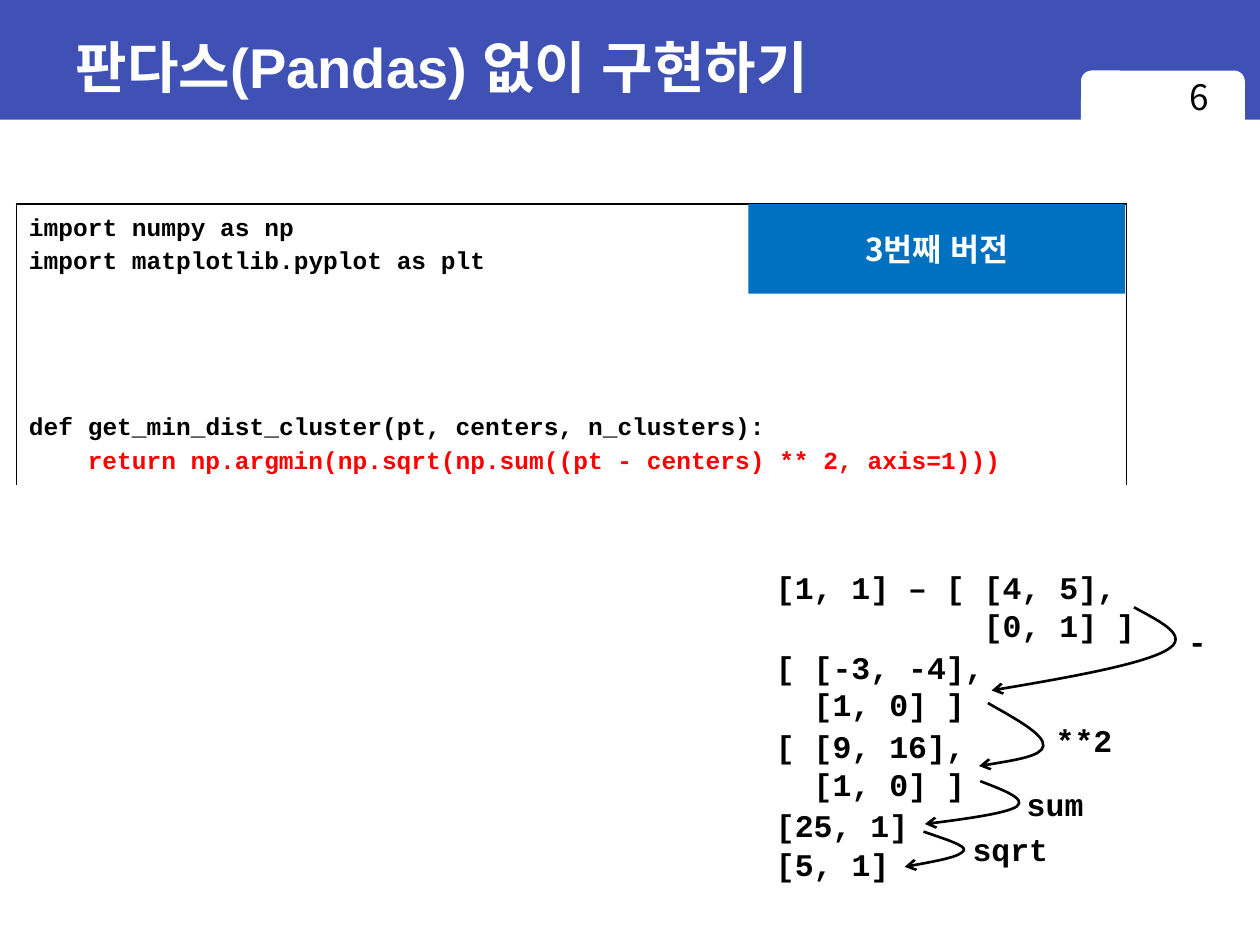
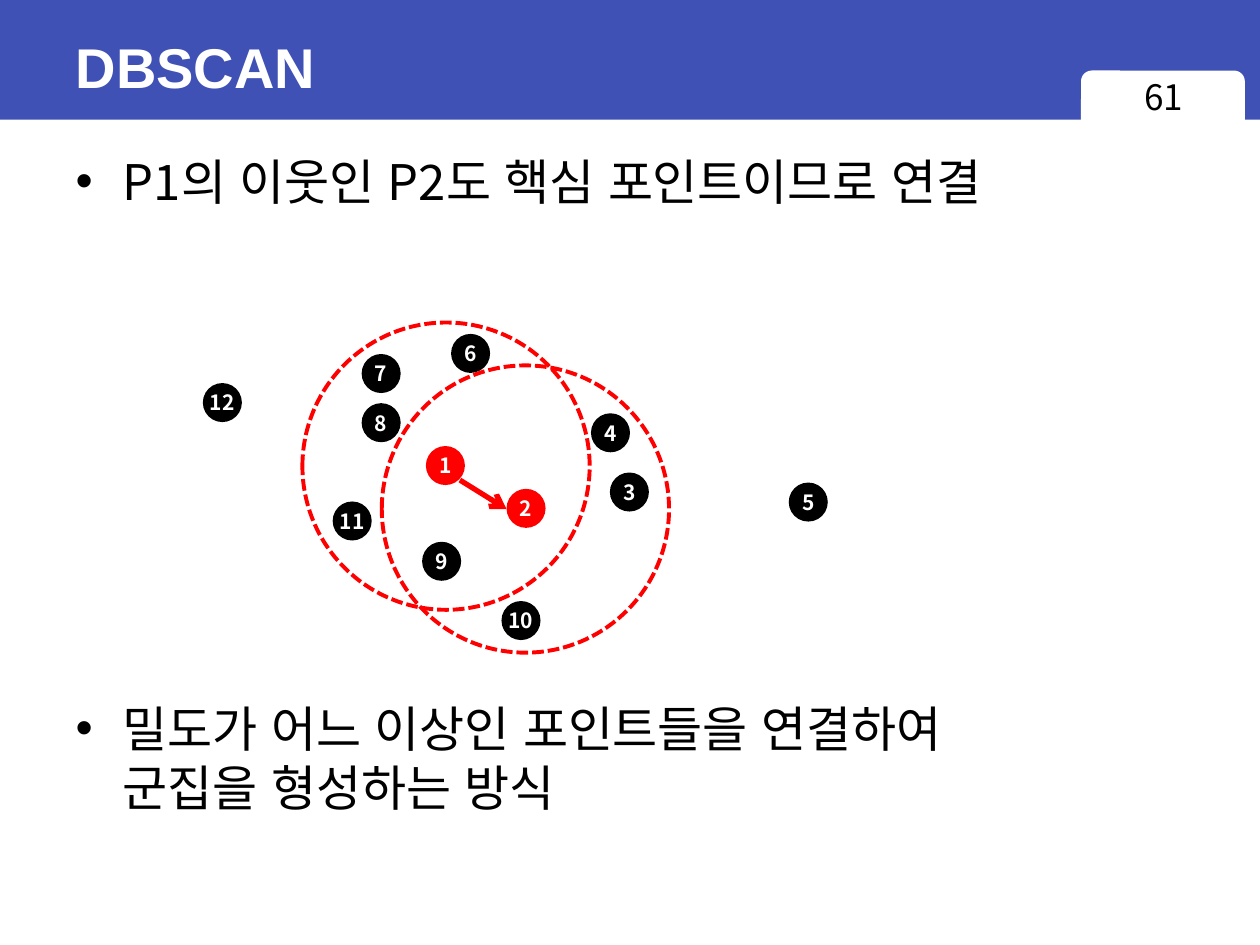
from dataclasses import dataclass
from typing import Any

import lxml.etree
import pptx
import pptx.dml.color
import pptx.enum.dml
import pptx.enum.shapes
import pptx.enum.text
import pptx.oxml.ns
import pptx.util

Inches, Pt = pptx.util.Inches, pptx.util.Pt
qn = pptx.oxml.ns.qn
Kind = pptx.enum.shapes.MSO_SHAPE
Align = pptx.enum.text.PP_ALIGN
Anchor = pptx.enum.text.MSO_ANCHOR
Fit = pptx.enum.text.MSO_AUTO_SIZE
Knots = tuple[tuple[float, float], ...]

# Shared colours and fonts
BLUE, SKY, RED = "3F51B5", "0070C0", "FF0000"
BLACK, WHITE = "000000", "FFFFFF"
SANS, MONO, HEAD = "Noto Sans CJK KR", "Courier New", "Arial"


@dataclass(frozen=True)
class Look:
    font: str
    size: int
    color: str = BLACK
    bold: bool = False


TITLE = Look(HEAD, 32, WHITE, True)
BODY = Look(SANS, 28)
PAGE = Look(SANS, 20)
BADGE = Look(SANS, 18, WHITE, True)
DOT = Look(SANS, 12, WHITE, True)
CODE = Look(MONO, 14, BLACK, True)
KEY = Look(MONO, 14, RED, True)
STEP = Look(MONO, 18, BLACK, True)


@dataclass(frozen=True)
class Line:
    """One paragraph; indent counts monospaced characters."""
    text: str
    look: Look
    indent: int = 0
    before: float = 0
    space: float = 1.0


@dataclass(frozen=True)
class Label:
    left: float
    top: float
    width: float
    height: float
    lines: tuple[Line, ...]


@dataclass(frozen=True)
class Point:
    name: str
    left: float
    top: float
    color: str = BLACK


def rgb(color: str) -> pptx.dml.color.RGBColor:
    return pptx.dml.color.RGBColor.from_string(color)


def assign(item: Any, form: dict[str, Any]) -> None:
    for key, value in form.items():
        setattr(item, key, value)


def box(*sides: float) -> list[int]:
    return [Inches(side) for side in sides]


def place(shape: Any, *sides: float) -> None:
    assign(shape, dict(zip(("left", "top", "width", "height"), box(*sides))))


# Text
def write(frame: Any, lines: tuple[Line, ...], align: Any = Align.LEFT) -> None:
    for num, line in enumerate(lines):
        para = frame.add_paragraph() if num else frame.paragraphs[0]
        para.text = line.text
        assign(para, {"alignment": align, "line_spacing": line.space,
                      "space_before": Pt(line.before)})
        if line.indent:
            step = Pt(line.look.size * 0.6 * line.indent)
            para._p.get_or_add_pPr().set("marL", str(step))
        look = line.look
        for run in para.runs:
            assign(run.font, {"name": look.font, "size": Pt(look.size),
                              "bold": look.bold})
            run.font.color.rgb = rgb(look.color)
            east = lxml.etree.Element(qn("a:ea"), typeface=HEAD)
            run.font._element.find(qn("a:latin")).addnext(east)


def add_label(slide: Any, label: Label) -> None:
    text = slide.shapes.add_textbox(
        *box(label.left, label.top, label.width, label.height))
    assign(text.text_frame, {"word_wrap": False,
                             "auto_size": Fit.SHAPE_TO_FIT_TEXT})
    write(text.text_frame, label.lines)


# Shapes and lines
def add_form(slide: Any, kind: Any, sides: tuple[float, ...],
             color: str | None = None) -> Any:
    shape = slide.shapes.add_shape(kind, *box(*sides))
    shape.shadow.inherit = False
    shape.line.fill.background()
    if color:
        shape.fill.solid()
        shape.fill.fore_color.rgb = rgb(color)
    else:
        shape.fill.background()
    return shape


def ink(shape: Any, color: str, width: float, arrow: bool = False) -> None:
    shape.line.color.rgb = rgb(color)
    shape.line.width = Pt(width)
    if arrow:
        edge = shape.element.spPr.find(qn("a:ln"))
        lxml.etree.SubElement(edge, qn("a:tailEnd"), type="arrow")


def bezier(curve: Knots, part: float) -> tuple[int, ...]:
    rest = 1 - part
    mix = (rest ** 3, 3 * rest ** 2 * part, 3 * rest * part ** 2, part ** 3)
    return tuple(Inches(sum(m * knot[axis] for m, knot in zip(mix, curve)))
                 for axis in (0, 1))


def add_curve(slide: Any, knots: Knots, count: int = 16) -> None:
    """Size the outline from sampled points, then make its segments cubic."""
    spots = [bezier(curve, num / count) for curve in (knots[:4], knots[3:])
             for num in range(1, count + 1)]
    pen = slide.shapes.build_freeform(*box(*knots[0]))
    pen.add_line_segments(spots, close=False)
    shape = pen.convert_to_shape()
    trace = next(shape.element.iter(qn("a:path")))
    for part in trace.findall(qn("a:lnTo")):
        trace.remove(part)
    for curve in (knots[1:4], knots[4:]):
        bend = lxml.etree.SubElement(trace, qn("a:cubicBezTo"))
        for x, y in curve:
            lxml.etree.SubElement(bend, qn("a:pt"), x=str(Inches(x) - shape.left),
                                  y=str(Inches(y) - shape.top))
    shape.shadow.inherit = False
    shape.fill.background()
    ink(shape, BLACK, 1.5, arrow=True)


# Parts every slide shares
def add_band(deck: Any, slide: Any) -> None:
    """Draw the header band and move it behind the master's placeholders."""
    parts = (add_form(slide, Kind.RECTANGLE, (0, 0, 10, 0.95), BLUE),
             add_form(slide, Kind.ROUNDED_RECTANGLE, (8.58, 0.56, 1.3, 0.51), WHITE))
    for num, part in enumerate(parts):
        part.element.nvSpPr.cNvPr.set("id", str(20 + num))
        deck.slide_master.shapes.element.insert(2 + num, part.element)


def add_slide(deck: Any, layout: int, title: str, page: str, left: float) -> Any:
    slide = deck.slides.add_slide(deck.slide_layouts[layout])
    head = slide.shapes.title
    place(head, 0.5, 0.11, 9, 0.83)
    head.text_frame.vertical_anchor = Anchor.MIDDLE
    write(head.text_frame, (Line(title, TITLE),))
    mark = slide.shapes.add_textbox(*box(left, 0.55, 1.31, 0.52))
    mark.text_frame.word_wrap = True
    write(mark.text_frame, (Line(page, PAGE),), Align.CENTER)
    return slide


# Slide 1: code and worked steps
SOURCE = (
    Line("import numpy as np", CODE, space=1.2),
    Line("import matplotlib.pyplot as plt", CODE, space=1.2),
    Line("def get_min_dist_cluster(pt, centers, n_clusters):", CODE,
         before=76, space=1.2),
    Line("return np.argmin(np.sqrt(np.sum((pt - centers) ** 2, axis=1)))",
         KEY, indent=4, space=1.2),
)
STEPS = (
    Label(6.06, 4.46, 3.07, 0.71,
          (Line("[1, 1] – [ [4, 5],", STEP), Line("[0, 1] ]", STEP, 11))),
    Label(6.06, 5.09, 1.86, 0.71,
          (Line("[ [-3, -4],", STEP), Line("[1, 0] ]", STEP, 2))),
    Label(6.06, 5.72, 1.71, 0.71,
          (Line("[ [9, 16],", STEP), Line("[1, 0] ]", STEP, 2))),
    Label(6.06, 6.35, 1.26, 0.4, (Line("[25, 1]", STEP),)),
    Label(6.06, 6.66, 1.11, 0.4, (Line("[5, 1]", STEP),)),
    Label(9.33, 4.89, 0.35, 0.4, (Line("-", STEP),)),
    Label(8.28, 5.67, 0.65, 0.4, (Line("**2", STEP),)),
    Label(8.05, 6.18, 0.65, 0.4, (Line("sum", STEP),)),
    Label(7.62, 6.54, 0.81, 0.4, (Line("sqrt", STEP),)),
)
CURVES = (
    ((9, 4.82), (9.22, 4.94), (9.45, 5.05), (9.26, 5.16),
     (9.07, 5.27), (8.47, 5.38), (7.87, 5.48)),
    ((7.84, 5.58), (8.07, 5.71), (8.29, 5.83), (8.28, 5.92),
     (8.27, 6), (8.02, 6.04), (7.77, 6.08)),
    ((7.78, 6.2), (7.96, 6.27), (8.15, 6.34), (8.07, 6.4),
     (8, 6.45), (7.67, 6.5), (7.34, 6.54)),
    ((7.33, 6.6), (7.5, 6.66), (7.67, 6.71), (7.65, 6.75),
     (7.62, 6.8), (7.4, 6.84), (7.18, 6.88)),
)


def add_code(slide: Any) -> None:
    table = slide.shapes.add_table(1, 1, *box(0.13, 1.62, 8.81, 2.21)).table
    assign(table, {"first_row": False, "horz_banding": False})
    cell = table.cell(0, 0)
    cell.margin_bottom = 0
    write(cell.text_frame, SOURCE)
    cell.fill.solid()
    cell.fill.fore_color.rgb = rgb(WHITE)
    props = cell._tc.get_or_add_tcPr()
    for num, side in enumerate("LRTB"):
        edge = lxml.etree.Element(qn(f"a:ln{side}"), w=str(Pt(1)))
        if side == "B":
            lxml.etree.SubElement(edge, qn("a:noFill"))
        else:
            fill = lxml.etree.SubElement(edge, qn("a:solidFill"))
            lxml.etree.SubElement(fill, qn("a:srgbClr"), val=BLACK)
        props.insert(num, edge)


def fill_steps(slide: Any) -> None:
    add_code(slide)
    badge = add_form(slide, Kind.RECTANGLE, (5.94, 1.62, 2.99, 0.71), SKY)
    badge.text_frame.vertical_anchor = Anchor.MIDDLE
    write(badge.text_frame, (Line("3번째 버전", BADGE),), Align.CENTER)
    for label in STEPS:
        add_label(slide, label)
    for knots in CURVES:
        add_curve(slide, knots)


# Slide 2: linked core points
POINTS = (
    Point("12", 1.61, 3.04), Point("7", 2.87, 2.81), Point("6", 3.58, 2.65),
    Point("8", 2.87, 3.2), Point("1", 3.38, 3.54, RED),
    Point("2", 4.02, 3.88, RED), Point("9", 3.35, 4.3),
    Point("10", 3.98, 4.77), Point("11", 2.64, 3.98), Point("3", 4.84, 3.75),
    Point("4", 4.69, 3.28), Point("5", 6.26, 3.83),
)
RINGS = ((2.4, 2.56), (3.03, 2.9))
NOTES = (
    Line("P1의 이웃인 P2도 핵심 포인트이므로 연결", BODY, before=2),
    Line("밀도가 어느 이상인 포인트들을 연결하여\v군집을 형성하는 방식", BODY,
         before=279),
)


def fill_points(slide: Any) -> None:
    body = slide.placeholders[1]
    place(body, 0.5, 1.15, 9.38, 6.14)
    body.text_frame.auto_size = Fit.NONE
    write(body.text_frame, NOTES)
    for point in POINTS:
        dot = add_form(slide, Kind.OVAL, (point.left, point.top, 0.31, 0.31),
                       point.color)
        assign(dot.text_frame, {"margin_left": 0, "margin_right": 0,
                                "margin_top": 0, "margin_bottom": 0,
                                "word_wrap": False,
                                "vertical_anchor": Anchor.MIDDLE})
        write(dot.text_frame, (Line(point.name, DOT),), Align.CENTER)
    for left, top in RINGS:
        ring = add_form(slide, Kind.OVAL, (left, top, 2.28, 2.28))
        ink(ring, RED, 2.25)
        ring.line.dash_style = pptx.enum.dml.MSO_LINE.SQUARE_DOT
    link = slide.shapes.add_connector(
        pptx.enum.shapes.MSO_CONNECTOR.STRAIGHT, *box(3.65, 3.81, 4.02, 4.04))
    ink(link, RED, 3, arrow=True)
    lxml.etree.SubElement(link.element.spPr, qn("a:effectLst"))


def main() -> None:
    deck = pptx.Presentation()
    assign(deck, {"slide_width": Inches(10), "slide_height": Inches(7.5)})
    steps = add_slide(deck, 5, "판다스(Pandas) 없이 구현하기", "6", 8.86)
    add_band(deck, steps)
    fill_steps(steps)
    fill_points(add_slide(deck, 1, "DBSCAN", "61", 8.58))
    deck.save("out.pptx")


if __name__ == "__main__":
    main()
